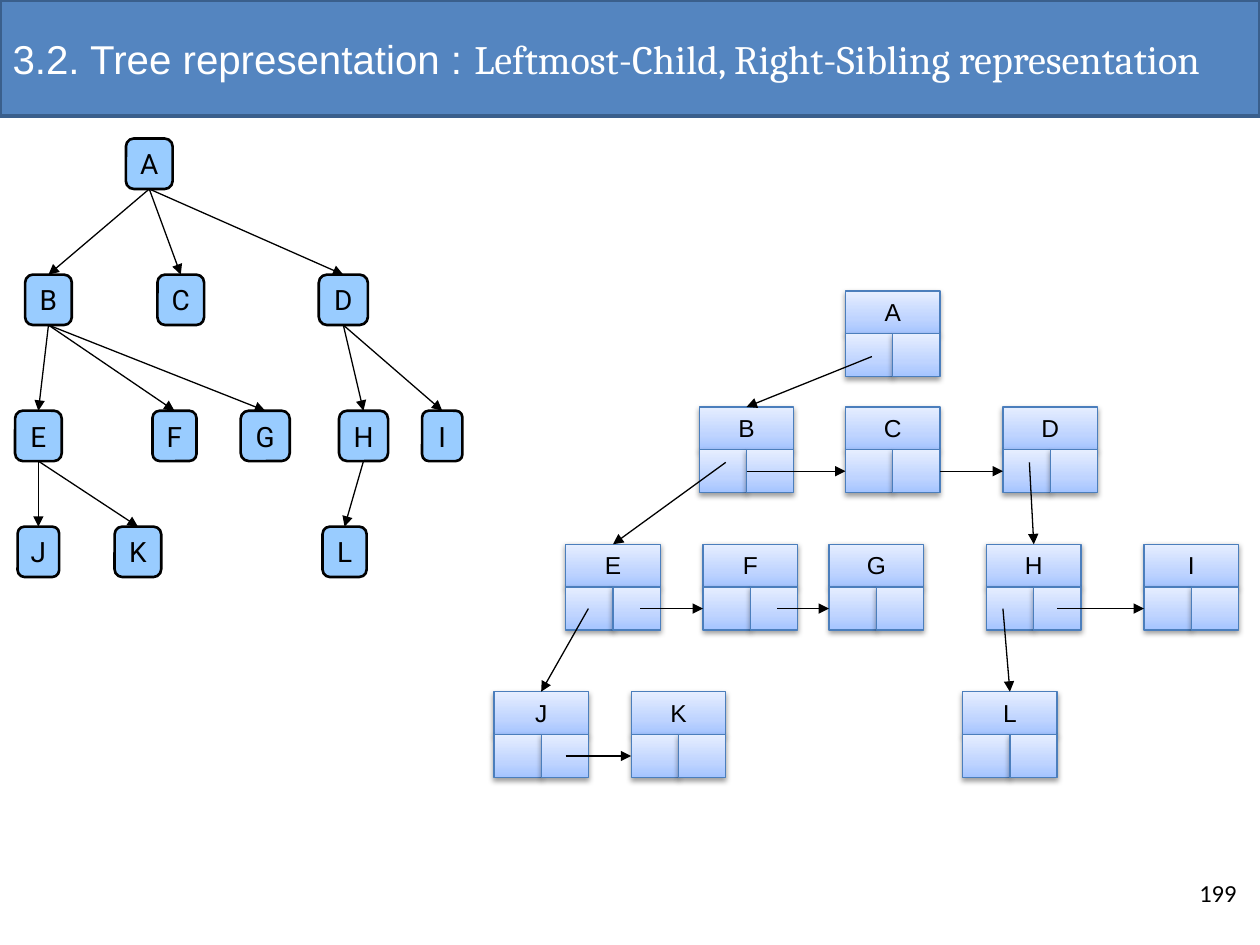
"""Build a slide showing a tree and its leftmost-child, right-sibling form."""
from dataclasses import dataclass

from lxml.etree import SubElement
from pptx import Presentation
from pptx.dml.color import RGBColor
from pptx.enum.shapes import MSO_CONNECTOR, MSO_SHAPE
from pptx.enum.text import MSO_ANCHOR, MSO_AUTO_SIZE, PP_ALIGN
from pptx.oxml.ns import qn
from pptx.util import Inches, Pt


@dataclass(frozen=True)
class Theme:
    band: str = "5485C0"
    rim: str = "3A5F8C"
    ink: str = "000000"
    paper: str = "FFFFFF"
    node: str = "99CCFF"
    edge: str = "4B7EBC"
    fade: tuple = ((0, "A4C4FF"), (35, "BFD4FF"), (100, "E6EEFF"))
    title: int = 23
    label: int = 16
    small: int = 14
    thin: float = 0.75


THEME = Theme()
WIDE, HIGH = 10, 7.5
TITLE = (("3.2. Tree representation : ", "Arial"),
         ("Leftmost-Child, Right-Sibling representation", "Cambria"))
PAGE = "199"

NODE_H = 0.4
NODES = (
    (1.1, (("A", 1, 0.37),)),
    (2.18, (("B", 0.2, 0.37), ("C", 1.25, 0.37), ("D", 2.53, 0.39))),
    (3.26, (("E", 0.12, 0.37), ("F", 1.21, 0.35), ("G", 1.91, 0.39),
            ("H", 2.69, 0.39), ("I", 3.35, 0.32))),
    (4.18, (("J", 0.14, 0.33), ("K", 0.91, 0.37), ("L", 2.56, 0.35))),
)
KIDS = {"A": "BCD", "B": "EFG", "D": "HI", "E": "JK", "H": "L"}

CELL_W, CELL_H = 0.75, 0.34
CELLS = (
    (2.31, (("A", 6.71),)),
    (3.23, (("B", 5.55), ("C", 6.71), ("D", 7.96))),
    (4.32, (("E", 4.49), ("F", 5.58), ("G", 6.58), ("H", 7.83), ("I", 9.08))),
    (5.49, (("J", 3.92), ("K", 5.01), ("L", 7.64))),
)
FIRST = (("A", "B", 0.21, 0.52), ("B", "E", 0.21, 0.44), ("E", "J", 0.18, 0.51),
         ("D", "H", 0.21, 0.44), ("H", "L", 0.13, 0.51))
NEXT = (("B", "C", 1), ("C", "D", 3), ("E", "F", 0.59), ("F", "G", 0.59),
        ("H", "I", 0.56), ("J", "K", 0.57))


def box(*area):
    return [Inches(part) for part in area]


def style(run, font, size, tint=THEME.ink):
    run.font.name = font
    run.font.size = Pt(size)
    run.font.color.rgb = RGBColor.from_string(tint)


def stroke(line, tint, width):
    line.color.rgb = RGBColor.from_string(tint)
    line.width = Pt(width)


def paint(shape, tint):
    shape.fill.solid()
    shape.fill.fore_color.rgb = RGBColor.from_string(tint)


def label(shape, text, font, size, anchor):
    frame = shape.text_frame
    frame.text = text
    frame.vertical_anchor = anchor
    para = frame.paragraphs[0]
    para.alignment = PP_ALIGN.CENTER
    style(para.runs[0], font, size)


def tint_stop(parent, tint):
    return SubElement(parent, qn("a:srgbClr"), val=tint)


def cell(shapes, *area):
    shape = shapes.add_shape(MSO_SHAPE.RECTANGLE, *box(*area))
    shape.fill.gradient()
    shape.fill.gradient_angle = 90
    stops = shape.element.spPr.find(qn("a:gradFill")).find(qn("a:gsLst"))
    stops.clear()
    for share, tint in THEME.fade:
        tint_stop(SubElement(stops, qn("a:gs"), pos=str(share * 1000)), tint)
    stroke(shape.line, THEME.edge, THEME.thin)
    shape.shadow.inherit = False
    glow = SubElement(shape.element.spPr.find(qn("a:effectLst")), qn("a:outerShdw"),
                      blurRad=str(Pt(3.1)), dist=str(Pt(1.6)), dir="5400000",
                      rotWithShape="0")
    SubElement(tint_stop(glow, THEME.ink), qn("a:alpha"), val="38000")
    return shape


def record(slide, name, left, top):
    shapes = slide.shapes.add_group_shape().shapes
    half, low = CELL_W / 2, top + CELL_H
    head = cell(shapes, left, top, CELL_W, CELL_H)
    label(head, name, "Arial", THEME.small, MSO_ANCHOR.TOP)
    return (head, cell(shapes, left, low, half, CELL_H),
            cell(shapes, left + half, low, half, CELL_H))


def node(slide, name, left, top, width):
    shape = slide.shapes.add_shape(MSO_SHAPE.ROUNDED_RECTANGLE,
                                   *box(left, top, width, NODE_H))
    shape.shadow.inherit = False
    paint(shape, THEME.node)
    stroke(shape.line, THEME.ink, 1.5)
    label(shape, name, "Roboto", THEME.label, MSO_ANCHOR.MIDDLE)
    shape.text_frame.word_wrap = False
    return shape


def arrow(slide, goal, side, start=(0, 0), source=None, exit=2):
    line = slide.shapes.add_connector(MSO_CONNECTOR.STRAIGHT, *start, 0, 0)
    if source is not None:
        line.begin_connect(source, exit)
    line.end_connect(goal, side)
    stroke(line.line, THEME.ink, THEME.thin)
    props = line.element.spPr
    SubElement(props.find(qn("a:ln")), qn("a:tailEnd"), type="triangle")
    SubElement(props, qn("a:effectLst"))


def header(slide):
    title = slide.shapes.title
    title.left, title.top, title.width, title.height = box(0, 0, WIDE, 0.92)
    paint(title, THEME.band)
    stroke(title.line, THEME.rim, 2)
    frame = title.text_frame
    frame.auto_size = MSO_AUTO_SIZE.NONE
    frame.vertical_anchor = MSO_ANCHOR.MIDDLE
    para = frame.paragraphs[0]
    para.alignment = PP_ALIGN.LEFT
    for text, font in TITLE:
        run = para.add_run()
        run.text = text
        style(run, font, THEME.title, THEME.paper)


def footer(slide):
    frame = slide.shapes.add_textbox(*box(9.42, 6.92, 0.5, 0.4)).text_frame
    frame.word_wrap = True
    frame.text = PAGE
    style(frame.paragraphs[0].runs[0], "Calibri", THEME.small)


def linked(slide):
    cells = {name: record(slide, name, left, top)
             for top, row in CELLS for name, left in row}
    for name, kid, right, down in FIRST:
        head = cells[name][0]
        start = head.left + Inches(right), head.top + Inches(down)
        arrow(slide, cells[kid][0], 0, start)
    for name, peer, exit in NEXT:
        head, _, last = cells[name]
        goal = cells[peer][1]
        if isinstance(exit, int):
            arrow(slide, goal, 1, source=last, exit=exit)
        else:
            start = head.left + Inches(exit), last.top + last.height // 2
            arrow(slide, goal, 1, start)


def tree(slide):
    nodes = {name: node(slide, name, left, top, width)
             for top, row in NODES for name, left, width in row}
    for name, kids in KIDS.items():
        for kid in kids:
            arrow(slide, nodes[kid], 0, source=nodes[name])


def main():
    deck = Presentation()
    deck.slide_width, deck.slide_height = box(WIDE, HIGH)
    slide = deck.slides.add_slide(deck.slide_layouts[5])
    header(slide)
    footer(slide)
    linked(slide)
    tree(slide)
    deck.save("out.pptx")


if __name__ == "__main__":
    main()
